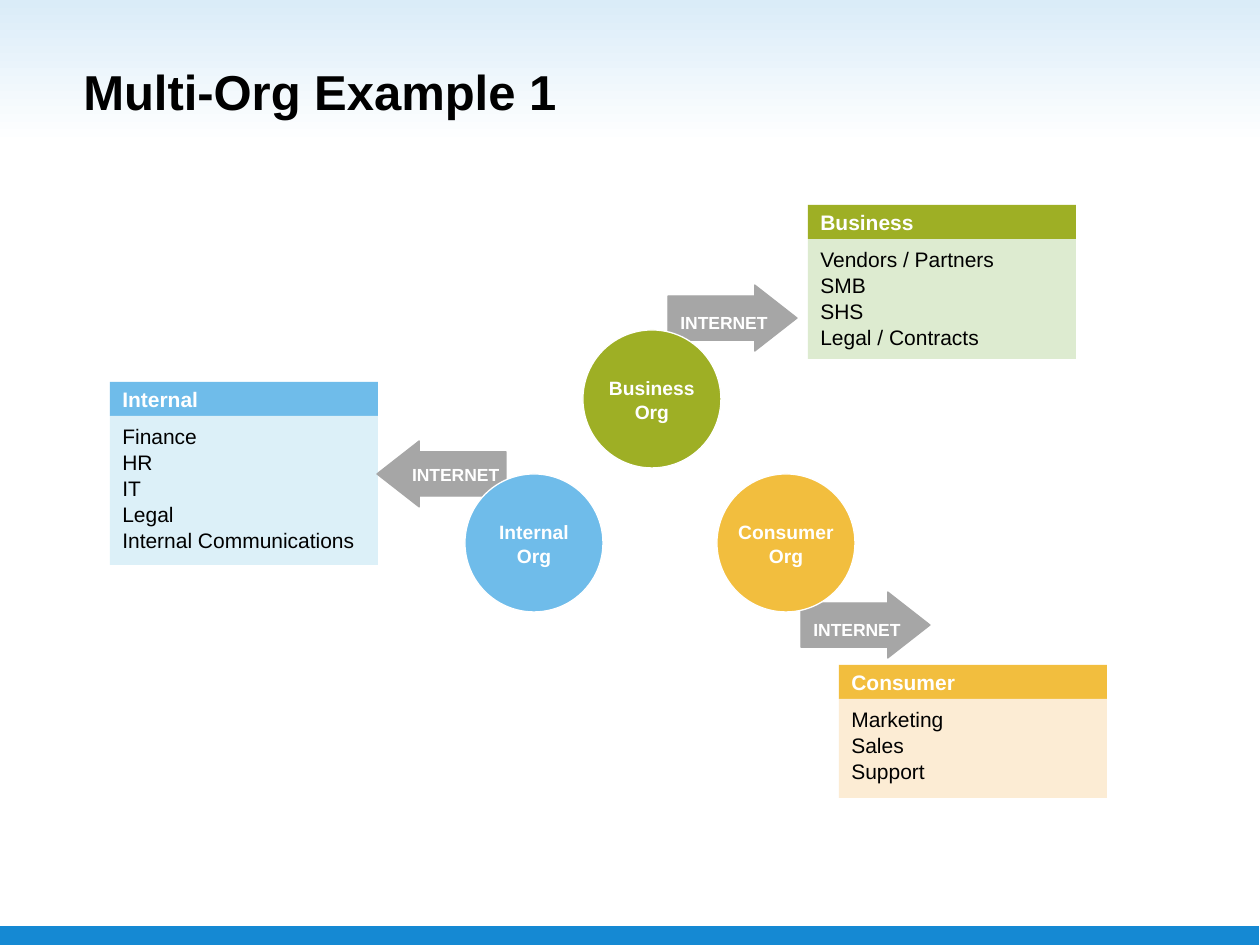
from pptx import Presentation
from pptx.dml.color import RGBColor
from pptx.enum.shapes import MSO_SHAPE
from pptx.enum.text import MSO_ANCHOR, PP_ALIGN
from pptx.util import Pt

RECT, OVAL, ARROW = MSO_SHAPE.RECTANGLE, MSO_SHAPE.OVAL, MSO_SHAPE.LEFT_ARROW
TOP, MIDDLE = MSO_ANCHOR.TOP, MSO_ANCHOR.MIDDLE
LEFT, CENTER = PP_ALIGN.LEFT, PP_ALIGN.CENTER

PX = 914400 // 126
WHITE, BLACK, GRAY = "FFFFFF", "000000", "A6A6A6"
GREEN, BLUE, GOLD = "9EAF25", "6FBCEA", "F2BE3E"


def color(code):
    return RGBColor.from_string(code)


class Board:
    font = "Arial"
    pitch = 1.04

    def __init__(self, slide):
        self.slide = slide

    def shape(self, kind, box, fill, line=None):
        item = self.slide.shapes.add_shape(kind, *(n * PX for n in box))
        item.shadow.inherit = False
        item.fill.solid()
        item.fill.fore_color.rgb = color(fill)
        if line:
            item.line.color.rgb = color(line)
            item.line.width = Pt(0.75)
        else:
            item.line.fill.background()
        return item

    def label(self, item, lines, size, tint=WHITE, bold=True,
              align=LEFT, anchor=MIDDLE, inset=True, wrap=True):
        frame = item.text_frame
        frame.word_wrap = wrap
        frame.vertical_anchor = anchor
        if not inset:
            frame.margin_left = frame.margin_right = 0
            frame.margin_top = frame.margin_bottom = 0
        frame.text = "\n".join(lines)
        for para in frame.paragraphs:
            para.alignment = align
            para.line_spacing = self.pitch
            para.font.name = self.font
            para.font.size = Pt(size)
            para.font.bold = bold
            para.font.color.rgb = color(tint)

    def text(self, box, words, size, **style):
        item = self.slide.shapes.add_textbox(*(n * PX for n in box))
        self.label(item, [words], size, **style)

    def fade(self, box, start, end, stop):
        """Draw a band that fades from top to bottom, ending at stop."""
        fill = self.shape(RECT, box, start).fill
        fill.gradient()
        fill.gradient_angle = 270
        for mark, code, spot in zip(fill.gradient_stops, (start, end), (0, stop)):
            mark.color.rgb = color(code)
            mark.position = spot

    def card(self, x, y, height, name, items, dark, pale):
        wide, head = 268, 34
        self.label(self.shape(RECT, (x, y, wide, head), dark), [name], 12)
        body = self.shape(RECT, (x, y + head, wide, height), pale)
        self.label(body, items, 12, tint=BLACK, bold=False, anchor=TOP)

    def arrow(self, x, y, right):
        item = self.shape(ARROW, (x, y, 129, 66), GRAY, GRAY)
        item.adjustments[0], item.adjustments[1] = 0.67, 0.64
        if right:
            item.rotation = 180
            self.text((x, y + 20, 114, 34), "INTERNET", 10, anchor=TOP, wrap=False)
        else:
            self.label(item, ["INTERNET"], 10, align=CENTER, inset=False)

    def org(self, x, y, name, fill):
        item = self.shape(OVAL, (x, y, 138, 138), fill, WHITE)
        self.label(item, [name + " Org"], 11, align=CENTER, inset=False)


def main():
    deck = Presentation()
    deck.slide_width, deck.slide_height = 1260 * PX, 945 * PX
    board = Board(deck.slides.add_slide(deck.slide_layouts[6]))

    board.shape(RECT, (-1, 926, 1260, 22), "1589D3")
    board.fade((0, 0, 1260, 198), "DAECF8", WHITE, 0.73)
    board.text((71, 35, 1134, 110), "Multi-Org Example 1", 28, tint=BLACK)

    units = [
        ("Business", GREEN, "DDEBD0", (808, 205, 120), (668, 285, True), (583, 330),
         ["Vendors / Partners", "SMB", "SHS", "Legal / Contracts"]),
        ("Internal", BLUE, "DCF0F8", (110, 382, 149), (377, 441, False), (465, 474),
         ["Finance", "HR", "IT", "Legal", "Internal Communications"]),
        ("Consumer", GOLD, "FCECD4", (839, 665, 99), (801, 592, True), (717, 474),
         ["Marketing", "Sales", "Support"]),
    ]
    for name, dark, pale, card, arrow, org, items in units:
        board.card(*card, name, items, dark, pale)
        board.arrow(*arrow)
        board.org(*org, name, dark)

    deck.save("out.pptx")


if __name__ == "__main__":
    main()
